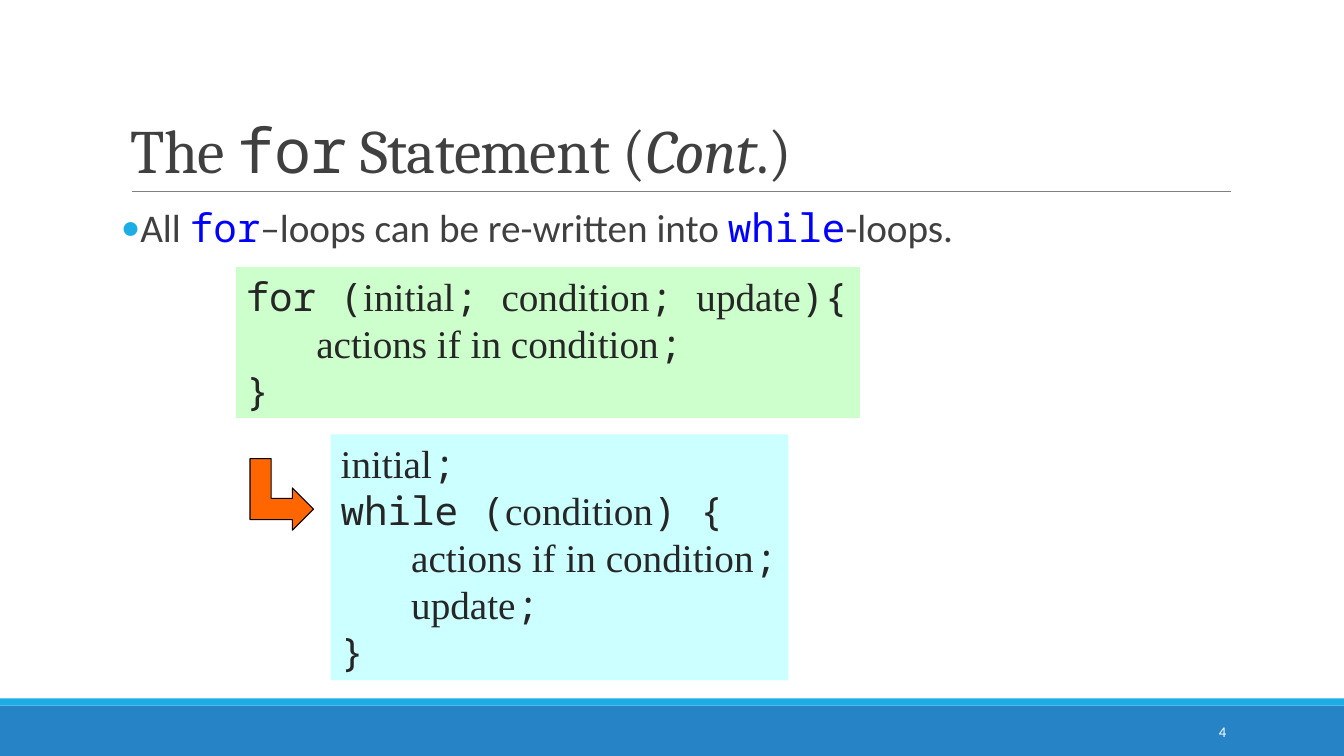
from lxml import etree
from pptx import Presentation
from pptx.dml.color import RGBColor
from pptx.enum import shapes, text
from pptx.oxml import ns
from pptx import util as u

COLORS = {
    "band": "2683C6", "accent": "1CADE4", "rule": "808080", "white": "FFFFFF",
    "ink": "404040", "code": "262626", "keyword": "0000FF", "green": "CCFFCC",
    "cyan": "CCFFFF", "arrow": "FF6600", "black": "000000",
}
MONO, SERIF = "Noto Sans Mono", "Times New Roman"
STYLES = {
    "number": {"name": "Calibri", "size": u.Pt(10.5), "color": "white"},
    "title": {"name": "Cambria", "size": u.Pt(44), "color": "ink"},
    "title_code": {"name": MONO, "size": u.Pt(44), "color": "ink"},
    "title_italic": {"name": "Cambria", "size": u.Pt(44), "color": "ink", "italic": True},
    "body": {"name": "Calibri", "size": u.Pt(28), "color": "ink"},
    "keyword": {"name": MONO, "size": u.Pt(28), "color": "keyword"},
    "code": {"name": MONO, "size": u.Pt(28), "color": "code"},
    "part": {"name": SERIF, "size": u.Pt(28), "color": "code"},
}
INDENT = u.Inches(0.7)
HANGING = u.Inches(0.14)

FOR_LOOP = [
    (0, [("for (", "code"), ("initial", "part"), ("; ", "code"), ("condition", "part"),
         ("; ", "code"), ("update", "part"), ("){", "code")]),
    (1, [("actions if in condition", "part"), (";", "code")]),
    (0, [("}", "code")]),
]
WHILE_LOOP = [
    (0, [("initial", "part"), (";", "code")]),
    (0, [("while (", "code"), ("condition", "part"), (") {", "code")]),
    (1, [("actions if in condition", "part"), (";", "code")]),
    (1, [("update", "part"), (";", "code")]),
    (0, [("}", "code")]),
]


def rgb(name):
    return RGBColor.from_string(COLORS[name])


def share(box, left, top, width, height):
    x, y, w, h = box
    return (int(x + w * left / 100), int(y + h * top / 100),
            int(w * width / 100), int(h * height / 100))


def set_all(obj, values):
    for key, value in values.items():
        setattr(obj, key, value)


def add_runs(p, runs):
    for words, style in runs:
        r = p.add_run()
        r.text = words
        values = dict(STYLES[style])
        r.font.color.rgb = rgb(values.pop("color"))
        set_all(r.font, values)


def add_block(s, kind, box, fill, line=None):
    sp = s.shapes.add_shape(kind, *box)
    sp.shadow.inherit = False
    sp.fill.solid()
    sp.fill.fore_color.rgb = rgb(fill)
    if line:
        sp.line.color.rgb = rgb(line)
        sp.line.width = u.Pt(0.75)
    else:
        sp.line.fill.background()
    return sp


def add_text(s, box, runs, frame, paragraph):
    tf = s.shapes.add_textbox(*box).text_frame
    set_all(tf, {"word_wrap": True, **frame})
    p = tf.paragraphs[0]
    set_all(p, paragraph)
    add_runs(p, runs)
    return p


def add_footer(s, box):
    rect = shapes.MSO_SHAPE.RECTANGLE
    add_block(s, rect, share(box, 0, 12.28, 100, 87.72), "band")
    add_block(s, rect, share(box, 0, 0, 100, 12.28), "accent")
    add_text(s, share(box, 81.24, 22.8, 10.73, 70.2), [("4", "number")],
             {"vertical_anchor": text.MSO_ANCHOR.MIDDLE},
             {"alignment": text.PP_ALIGN.RIGHT})


def add_header(s, box):
    x, y, w, h = share(box, 1, 100, 99.1, 0)
    rule = s.shapes.add_connector(shapes.MSO_CONNECTOR.STRAIGHT, x, y, x + w, y)
    rule.line.color.rgb = rgb("rule")
    rule.line.width = u.Pt(0.5)
    etree.SubElement(rule.element.spPr, ns.qn("a:effectLst"))
    p = add_text(s, box, [("The ", "title"), ("for", "title_code"),
                          (" Statement (", "title"), ("Cont", "title_italic"),
                          (".)", "title")],
                 {"vertical_anchor": text.MSO_ANCHOR.BOTTOM}, {"line_spacing": 0.85})
    for r in p.runs:
        r.font._element.set("spc", "-50")


def add_point(s, box):
    p = add_text(s, box, [("All ", "body"), ("for", "keyword"),
                          ("–loops can be re-written into ", "body"),
                          ("while", "keyword"), ("-loops.", "body")],
                 {"margin_left": 0, "margin_right": 0},
                 {"line_spacing": 0.9, "space_before": u.Pt(12), "space_after": u.Pt(2)})
    pPr = p._p.get_or_add_pPr()
    pPr.set("marL", str(HANGING))
    pPr.set("indent", str(-HANGING))
    color = etree.SubElement(pPr, ns.qn("a:buClr"))
    etree.SubElement(color, ns.qn("a:srgbClr")).set("val", COLORS["accent"])
    etree.SubElement(pPr, ns.qn("a:buFont")).set("typeface", "Calibri")
    etree.SubElement(pPr, ns.qn("a:buChar")).set("char", "•")


def add_code(s, box, fill, lines):
    tf = add_block(s, shapes.MSO_SHAPE.RECTANGLE, box, fill).text_frame
    set_all(tf, {"word_wrap": False, "vertical_anchor": text.MSO_ANCHOR.TOP})
    for i, (level, runs) in enumerate(lines):
        p = tf.add_paragraph() if i else tf.paragraphs[0]
        p.alignment = text.PP_ALIGN.LEFT
        if level:
            p._p.get_or_add_pPr().set("marL", str(level * INDENT))
        add_runs(p, runs)


def add_arrow(s, box):
    sp = add_block(s, shapes.MSO_SHAPE.BENT_UP_ARROW, box, "arrow", "black")
    sp.rotation = 90
    for i in range(3):
        sp.adjustments[i] = 1 / 3


def main():
    prs = Presentation()
    set_all(prs, {"slide_width": u.Inches(13.33), "slide_height": u.Inches(7.5)})
    s = prs.slides.add_slide(prs.slide_layouts[6])
    page = (0, 0, prs.slide_width, prs.slide_height)
    add_footer(s, share(page, 0, 92.4, 100, 7.6))
    add_header(s, share(page, 9, 4.13, 82.52, 21.2))
    add_point(s, share(page, 9, 26.93, 82.52, 58.67))
    add_code(s, share(page, 17.55, 35.33, 46.44, 20), "green", FOR_LOOP)
    add_code(s, share(page, 24.61, 57.47, 34.06, 32.53), "cyan", WHILE_LOOP)
    add_arrow(s, share(page, 18.3, 61.2, 5.33, 8.4))
    prs.save("out.pptx")


if __name__ == "__main__":
    main()
